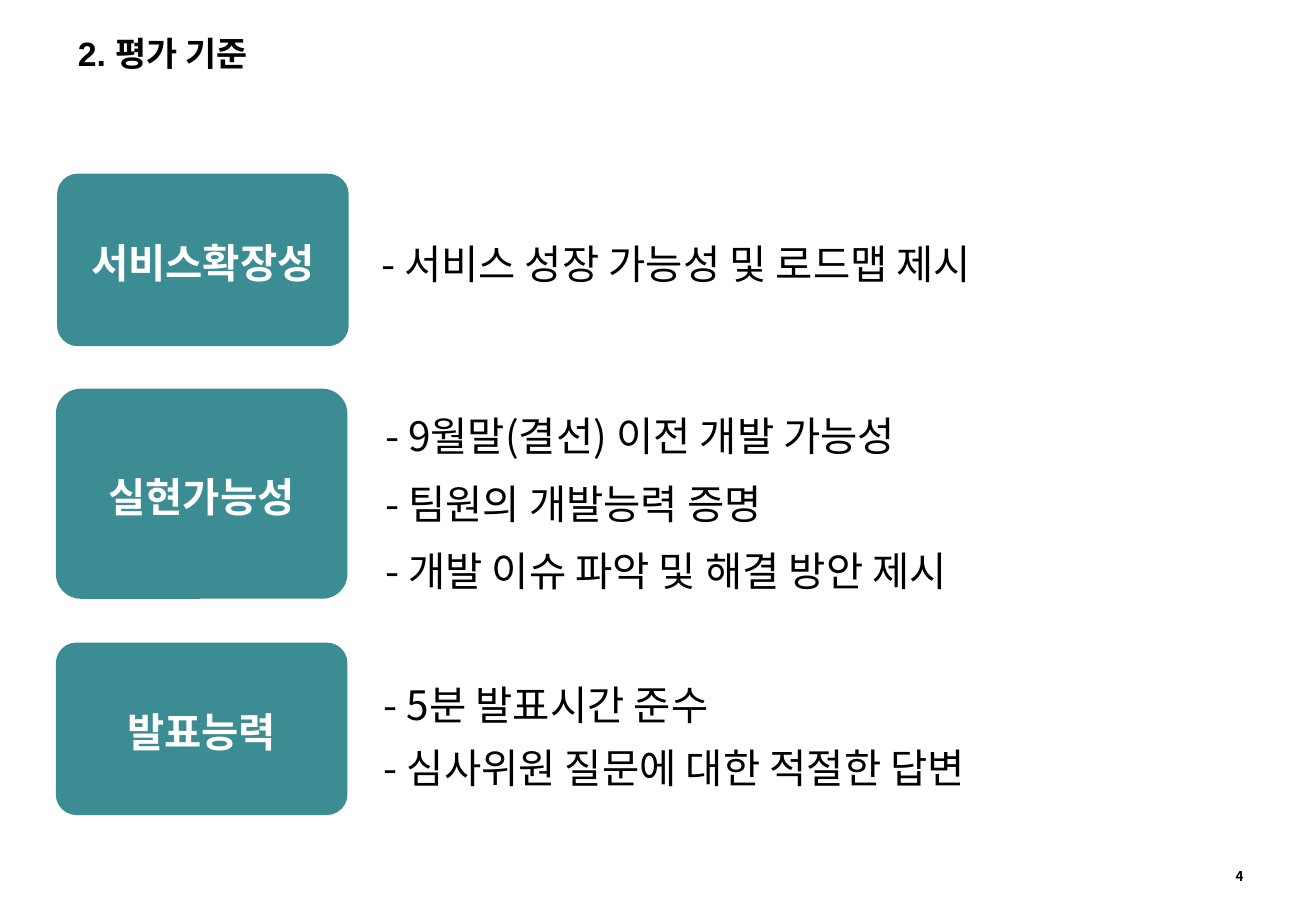
"""Build the evaluation criteria slide: three labelled cards with their details."""
import dataclasses

import lxml.etree
import pptx
import pptx.dml.color
import pptx.enum.shapes
import pptx.enum.text
import pptx.oxml.ns
import pptx.util

Inches = pptx.util.Inches
Align = pptx.enum.text.PP_ALIGN
Anchor = pptx.enum.text.MSO_ANCHOR


@dataclasses.dataclass(frozen=True)
class Theme:
    """Colours, fonts and type sizes of the slide."""
    teal: str = "3C8C93"
    black: str = "000000"
    white: str = "FFFFFF"
    latin_font: str = "Arial"
    korean_font: str = "Noto Sans CJK KR"
    title_size: int = 20
    body_size: int = 24
    number_size: int = 8
    corner: float = 0.12


THEME = Theme()


@dataclasses.dataclass(frozen=True)
class Criterion:
    """One row: card label and box, detail lines and box."""
    label: str
    card_box: tuple
    details: tuple
    detail_box: tuple
    spacing: object = 1.3


CRITERIA = (
    Criterion("서비스확장성", (0.47, 1.43, 2.4, 1.42),
              ("- 서비스 성장 가능성 및 로드맵 제시",), (3.01, 1.71, 7.36, 0.79)),
    Criterion("실현가능성", (0.46, 3.2, 2.4, 1.73),
              ("- 9월말(결선) 이전 개발 가능성", "- 팀원의 개발능력 증명",
               "- 개발 이슈 파악 및 해결 방안 제시"),
              (3.01, 3.2, 7.36, 1.73), pptx.util.Pt(40)),
    Criterion("발표능력", (0.46, 5.29, 2.4, 1.42),
              ("- 5분 발표시간 준수", "- 심사위원 질문에 대한 적절한 답변"),
              (3.01, 5.29, 7.36, 1.42)),
)


def write_text(shape, lines, *, size, font=THEME.korean_font, color=THEME.black,
               bold=False, align=Align.LEFT, anchor=Anchor.MIDDLE, spacing=1.3, wrap=True):
    """Fill a shape with one formatted paragraph per line."""
    frame = shape.text_frame
    frame.word_wrap = wrap
    frame.vertical_anchor = anchor
    frame.text = "\n".join(lines)
    for paragraph in frame.paragraphs:
        paragraph.alignment = align
        paragraph.line_spacing = spacing
        for run in paragraph.runs:
            run.font.name = font
            run.font.size = pptx.util.Pt(size)
            run.font.bold = bold
            run.font.color.rgb = pptx.dml.color.RGBColor.from_string(color)
            east_asian = lxml.etree.SubElement(run.font._element, pptx.oxml.ns.qn("a:ea"))
            east_asian.set("typeface", THEME.korean_font)


def add_rounded_box(slide, box, fill=None):
    """Add a borderless rounded rectangle, filled when a colour is given."""
    shape = slide.shapes.add_shape(
        pptx.enum.shapes.MSO_SHAPE.ROUNDED_RECTANGLE, *map(Inches, box))
    shape.adjustments[0] = THEME.corner
    shape.shadow.inherit = False
    shape.line.fill.background()
    if fill:
        shape.fill.solid()
        shape.fill.fore_color.rgb = pptx.dml.color.RGBColor.from_string(fill)
    else:
        shape.fill.background()
    return shape


def add_title(slide, text):
    """Place and format the title placeholder."""
    title = slide.shapes.title
    title.left, title.top, title.width, title.height = map(Inches, (0.54, 0.12, 1.68, 0.54))
    title.text_frame.auto_size = pptx.enum.text.MSO_AUTO_SIZE.NONE
    write_text(title, [text], size=THEME.title_size, font=THEME.latin_font, bold=True, wrap=False)


def add_criterion(slide, criterion):
    """Add a criterion's detail lines and its label card."""
    details = add_rounded_box(slide, criterion.detail_box)
    write_text(details, criterion.details, size=THEME.body_size, spacing=criterion.spacing)
    card = add_rounded_box(slide, criterion.card_box, THEME.teal)
    write_text(card, [criterion.label], size=THEME.body_size, font=THEME.latin_font,
               color=THEME.white, bold=True, align=Align.CENTER, spacing=1.1)


def add_page_number(slide, number):
    """Add the page number at the lower right."""
    box = slide.shapes.add_textbox(*map(Inches, (10.07, 7.06, 0.76, 0.27)))
    write_text(box, [number], size=THEME.number_size, bold=True, anchor=Anchor.TOP)


def main():
    """Build and save the presentation."""
    presentation = pptx.Presentation()
    presentation.slide_width = Inches(10.83)
    presentation.slide_height = Inches(7.5)
    slide = presentation.slides.add_slide(presentation.slide_layouts.get_by_name("Title Only"))
    add_title(slide, "2. 평가 기준")
    for criterion in CRITERIA:
        add_criterion(slide, criterion)
    add_page_number(slide, "4")
    presentation.save("out.pptx")


if __name__ == "__main__":
    main()
